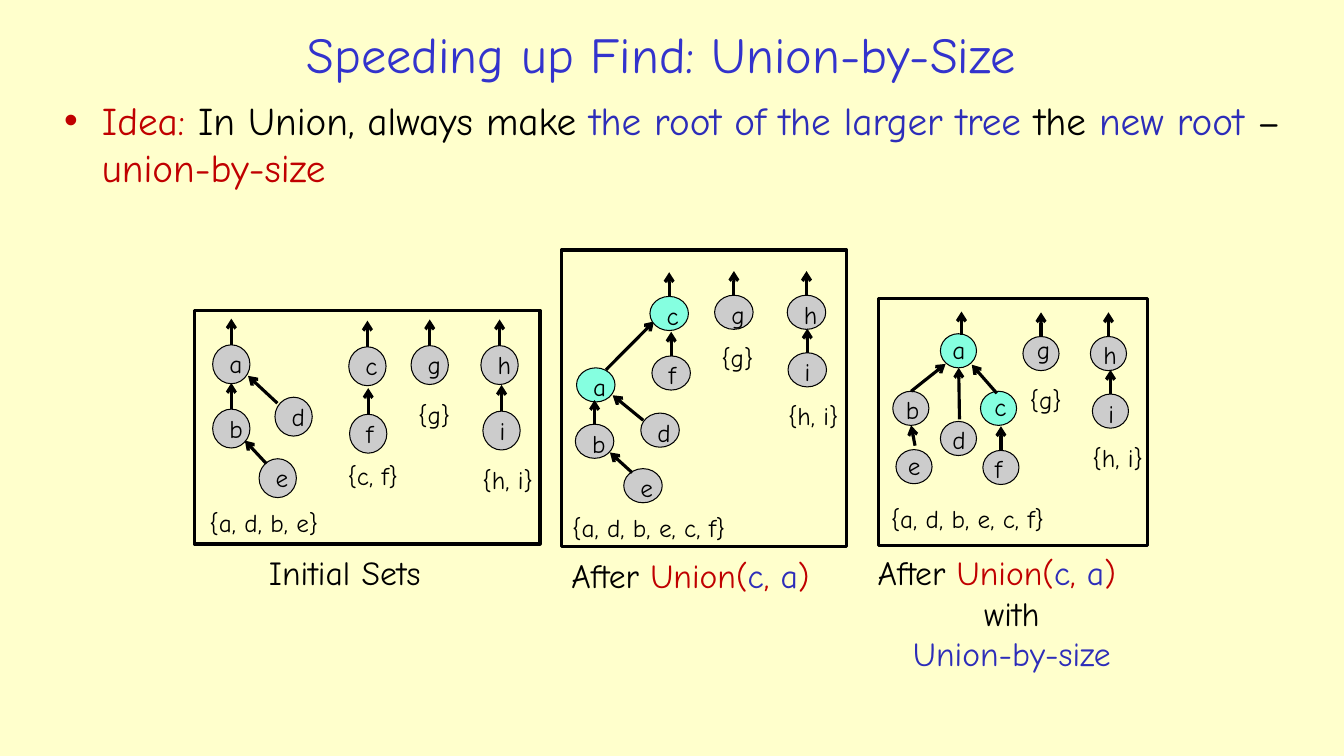
from dataclasses import dataclass

from lxml import etree
from pptx import Presentation
from pptx.dml.color import RGBColor
from pptx.enum.shapes import MSO_CONNECTOR, MSO_SHAPE
from pptx.enum.text import MSO_ANCHOR, PP_ALIGN
from pptx.oxml.ns import qn
from pptx.util import Cm, Pt

STRAIGHT = MSO_CONNECTOR.STRAIGHT
ELLIPSE, RECTANGLE = MSO_SHAPE.OVAL, MSO_SHAPE.RECTANGLE
LEFT, CENTER = PP_ALIGN.LEFT, PP_ALIGN.CENTER
MIDDLE, TOP = MSO_ANCHOR.MIDDLE, MSO_ANCHOR.TOP


@dataclass(frozen=True)
class Theme:
    font: str = "Comic Neue"
    background: str = "FFFFCC"
    title: str = "3333CC"
    ink: str = "000000"
    red: str = "C00000"
    blue: str = "2D2DB9"
    node: str = "CCCCCC"
    root: str = "85FFE0"
    title_size: float = 36
    body_size: float = 28
    caption_size: float = 24
    label_size: float = 18
    thin: float = 0.75
    thick: float = 2.25


@dataclass(frozen=True)
class Node:
    """A tree node; without an arrow of its own it points straight up."""
    label: str
    left: float
    top: float
    arrow: tuple = ()
    label_offset: tuple = (0.17, -0.03)
    highlighted: bool = False


@dataclass(frozen=True)
class Panel:
    frame: tuple
    node_size: tuple
    arrow_length: float
    nodes: tuple
    sets: tuple


THEME = Theme()
LABEL_HEIGHT = 1.02
LABEL_WIDTH = 0.86
SET_WIDTHS = {"{a, d, b, e}": 3.53, "{a, d, b, e, c, f}": 4.93,
              "{c, f}": 2.01, "{g}": 1.32, "{h, i}": 1.91}

INITIAL_SETS = Panel(
    frame=(4.9, 7.82, 8.71, 5.89), node_size=(0.94, 0.98), arrow_length=0.66,
    nodes=(
        Node("a", 5.36, 8.69),
        Node("b", 5.36, 10.31),
        Node("c", 8.79, 8.74),
        Node("d", 6.93, 10.01, (6.99, 10.16, 6.25, 9.47)),
        Node("e", 6.53, 11.56, (6.71, 11.68, 6.17, 11.1)),
        Node("f", 8.81, 10.44),
        Node("g", 10.36, 8.71),
        Node("h", 12.12, 8.71),
        Node("i", 12.17, 10.36),
    ),
    sets=(("{a, d, b, e}", 5.03, 12.65), ("{c, f}", 8.51, 11.48),
          ("{g}", 10.29, 9.93), ("{h, i}", 11.91, 11.58)),
)
PLAIN_UNION = Panel(
    frame=(14.15, 6.3, 7.19, 7.47), node_size=(0.97, 0.86), arrow_length=0.61,
    nodes=(
        Node("a", 14.53, 9.27, (15.27, 9.32, 16.48, 8.1), highlighted=True),
        Node("b", 14.5, 10.69),
        Node("c", 16.38, 7.47, highlighted=True),
        Node("d", 16.15, 10.41, (16.21, 10.59, 15.44, 9.96)),
        Node("e", 15.72, 11.81, (15.93, 11.91, 15.37, 11.4)),
        Node("f", 16.43, 8.97),
        Node("g", 18.01, 7.44),
        Node("h", 19.84, 7.44),
        Node("i", 19.86, 8.89),
    ),
    sets=(("{a, d, b, e, c, f}", 14.17, 12.78), ("{g}", 17.93, 8.51),
          ("{h, i}", 19.61, 9.96)),
)
UNION_BY_SIZE = Panel(
    frame=(22.15, 7.52, 6.76, 6.22), node_size=(0.91, 0.86), arrow_length=0.61,
    nodes=(
        Node("a", 23.7, 8.41, (24.23, 8.43, 24.23, 7.85), (0.05, -0.1), True),
        Node("b", 22.5, 9.86, (22.96, 9.86, 23.83, 9.17), (0.08, -0.05)),
        Node("c", 24.71, 9.86, (25.12, 9.91, 24.49, 9.19), (0.1, -0.13), True),
        Node("d", 23.7, 10.62, (24.18, 10.57, 24.16, 9.27), (0.05, -0.05)),
        Node("e", 22.58, 11.33, (23.06, 11.23, 22.96, 10.72), (0.05, -0.1)),
        Node("f", 24.77, 11.35, label_offset=(0.05, -0.05)),
        Node("g", 25.78, 8.48, label_offset=(0.1, -0.18)),
        Node("h", 27.48, 8.48, label_offset=(0.08, -0.05)),
        Node("i", 27.53, 9.93, label_offset=(0.15, -0.03)),
    ),
    sets=(("{a, d, b, e, c, f}", 22.2, 12.55), ("{g}", 25.7, 9.55),
          ("{h, i}", 27.28, 11.02)),
)


def write(paragraph, text, *, size, color=THEME.ink):
    run = paragraph.add_run()
    run.text = text
    run.font.name = THEME.font
    run.font.size = Pt(size)
    run.font.color.rgb = RGBColor.from_string(color)


class SlideBuilder:
    def __init__(self, presentation, theme):
        self.theme = theme
        self.slide = presentation.slides.add_slide(presentation.slide_layouts[5])
        fill = self.slide.background.fill
        fill.solid()
        fill.fore_color.rgb = RGBColor.from_string(theme.background)

    def title(self, text, left, top, width, height):
        shape = self.slide.shapes.title
        shape.left, shape.top = Cm(left), Cm(top)
        shape.width, shape.height = Cm(width), Cm(height)
        shape.text_frame.vertical_anchor = MIDDLE
        paragraph = shape.text_frame.paragraphs[0]
        paragraph.alignment = CENTER
        write(paragraph, text, size=self.theme.title_size, color=self.theme.title)

    def text(self, lines, left, top, width, height, *, size, wrap=False, bullet=False):
        """Each line is an alignment and its (text, color) runs."""
        shape = self.slide.shapes.add_textbox(Cm(left), Cm(top), Cm(width), Cm(height))
        frame = shape.text_frame
        frame.word_wrap = wrap
        frame.vertical_anchor = TOP
        for index, (alignment, runs) in enumerate(lines):
            paragraph = frame.add_paragraph() if index else frame.paragraphs[0]
            paragraph.alignment = alignment
            if bullet:
                properties = paragraph._p.get_or_add_pPr()
                properties.set("marL", str(Cm(0.95)))
                properties.set("indent", str(Cm(-0.95)))
                etree.SubElement(properties, qn("a:buFont"), typeface="Arial")
                etree.SubElement(properties, qn("a:buChar"), char="•")
            for text, color in runs:
                write(paragraph, text, size=size, color=color)

    def outline(self, kind, left, top, width, height, *, line, fill=None):
        shape = self.slide.shapes.add_shape(kind, Cm(left), Cm(top), Cm(width), Cm(height))
        shape.shadow.inherit = False
        if fill:
            shape.fill.solid()
            shape.fill.fore_color.rgb = RGBColor.from_string(fill)
        else:
            shape.fill.background()
        shape.line.color.rgb = RGBColor.from_string(self.theme.ink)
        shape.line.width = Pt(line)

    def arrow(self, *ends):
        connector = self.slide.shapes.add_connector(STRAIGHT, *map(Cm, ends))
        connector.line.color.rgb = RGBColor.from_string(self.theme.ink)
        connector.line.width = Pt(self.theme.thick)
        etree.SubElement(connector.line._get_or_add_ln(), qn("a:tailEnd"), type="arrow")
        etree.SubElement(connector._element.spPr, qn("a:effectLst"))

    def label(self, text, left, top, width, *, wrap=False):
        self.text([(LEFT, [(text, self.theme.ink)])], left, top, width, LABEL_HEIGHT,
                  size=self.theme.label_size, wrap=wrap)

    def panel(self, panel):
        width, height = panel.node_size
        for node in panel.nodes:
            fill = self.theme.root if node.highlighted else self.theme.node
            self.outline(ELLIPSE, node.left, node.top, width, height,
                         line=self.theme.thin, fill=fill)
            shift_x, shift_y = node.label_offset
            self.label(node.label, node.left + shift_x, node.top + shift_y,
                       LABEL_WIDTH, wrap=True)
            middle = node.left + width / 2
            self.arrow(*(node.arrow or (middle, node.top,
                                        middle, node.top - panel.arrow_length)))
        for text, left, top in panel.sets:
            self.label(text, left, top, SET_WIDTHS[text])
        self.outline(RECTANGLE, *panel.frame, line=self.theme.thick)


def main():
    presentation = Presentation()
    presentation.slide_width, presentation.slide_height = Cm(33.87), Cm(19.05)
    builder = SlideBuilder(presentation, THEME)
    ink, red, blue = THEME.ink, THEME.red, THEME.blue

    builder.title("Speeding up Find: Union-by-Size", 5.28, 0.48, 22.76, 1.75)
    idea = [("Idea: ", red), ("In Union, always make", ink),
            (" the root of the larger tree", blue), (" the ", ink),
            ("new root", blue), (" – ", ink), ("union-by-size", red)]
    builder.text([(LEFT, idea)], 1.37, 2.31, 31.24, 2.87,
                 size=THEME.body_size, wrap=True, bullet=True)

    for panel in (INITIAL_SETS, PLAIN_UNION, UNION_BY_SIZE):
        builder.panel(panel)

    union_call = (LEFT, [("After", ink), (" Union(", red), ("c", blue),
                         (", ", red), ("a", blue), (")", red)])
    size = THEME.caption_size
    builder.text([(LEFT, [("Initial Sets", ink)])], 6.53, 13.79, 5.11, 1.3, size=size)
    builder.text([union_call], 14.15, 13.87, 7.32, 1.3, size=size)
    builder.text([union_call, (CENTER, [("with", ink)]),
                  (CENTER, [("Union-by-size", blue)])],
                 21.87, 13.79, 7.26, 3.33, size=size, wrap=True)
    presentation.save("out.pptx")


if __name__ == "__main__":
    main()
